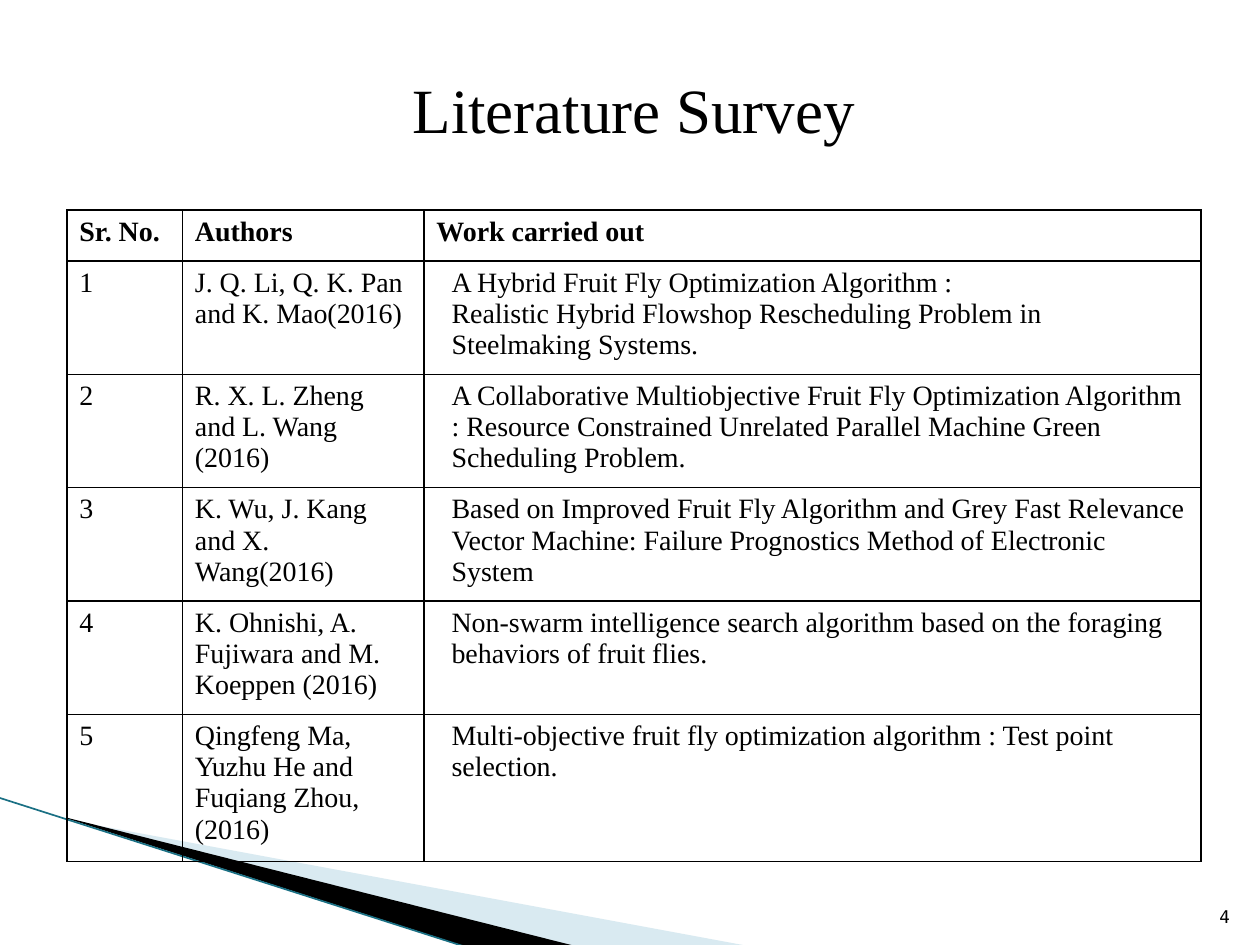
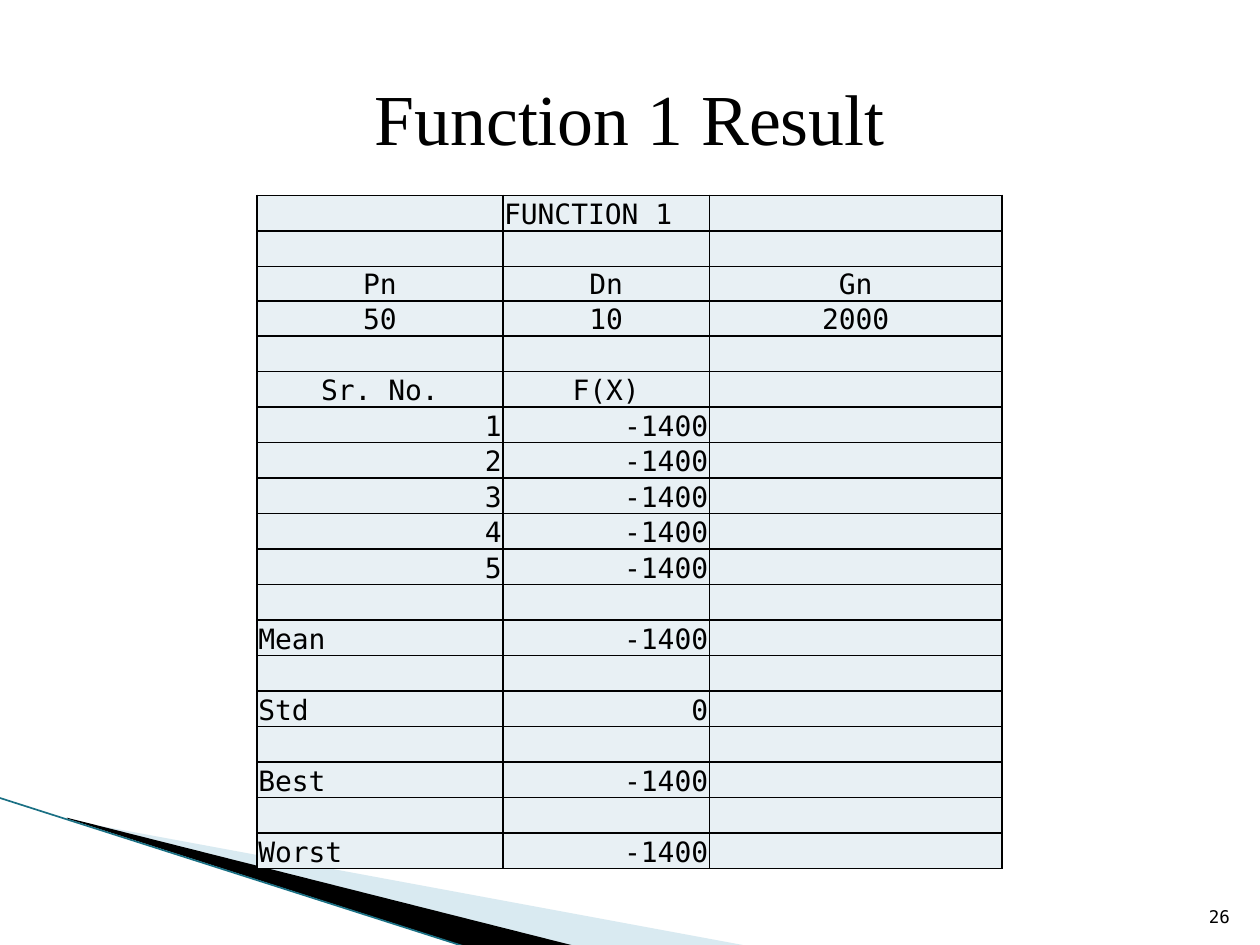
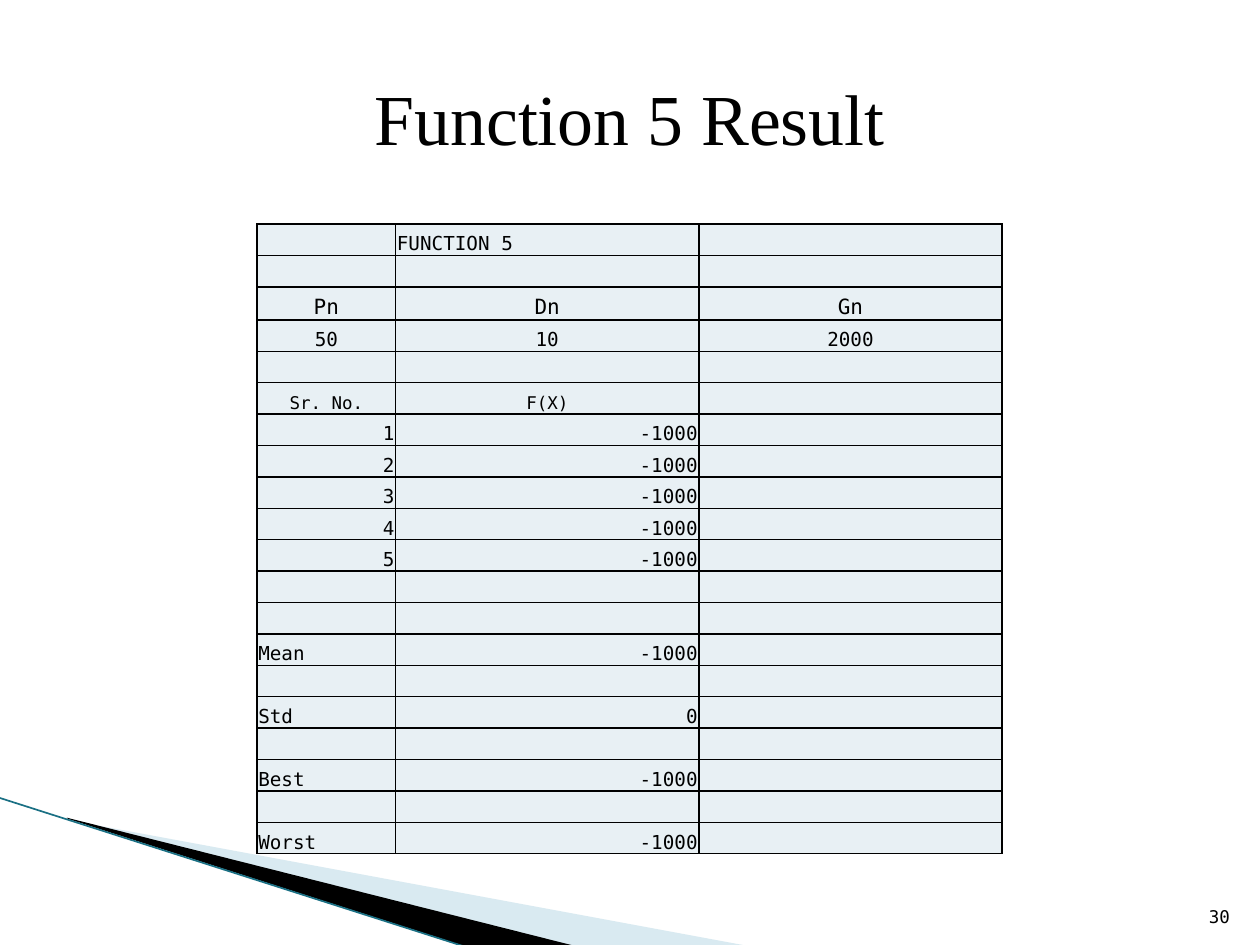
from lxml import etree
from pptx import Presentation
from pptx.dml.color import RGBColor
from pptx.enum.shapes import MSO_CONNECTOR
from pptx.enum.text import MSO_ANCHOR, MSO_AUTO_SIZE, PP_ALIGN
from pptx.oxml.ns import qn
from pptx.util import Pt

LEFT, CENTER, RIGHT = PP_ALIGN.LEFT, PP_ALIGN.CENTER, PP_ALIGN.RIGHT
TOP, MIDDLE, BOTTOM = MSO_ANCHOR.TOP, MSO_ANCHOR.MIDDLE, MSO_ANCHOR.BOTTOM
STRAIGHT = MSO_CONNECTOR.STRAIGHT
NO_FIT = MSO_AUTO_SIZE.NONE

COLORS = {"ink": "000000", "pale": "A0CBDC", "edge": "1A7084", "cell": "E8F0F4"}
SERIF = "Times New Roman"
MONO = "DejaVu Sans Mono"

SURVEY = [
    ("Sr. No.", "Authors", "Work carried out"),
    ("1", "J. Q. Li, Q. K. Pan and K. Mao(2016)",
     "A Hybrid Fruit Fly Optimization Algorithm :\n"
     "Realistic Hybrid Flowshop Rescheduling Problem in Steelmaking Systems."),
    ("2", "R. X. L. Zheng and L. Wang (2016)",
     "A Collaborative Multiobjective Fruit Fly Optimization Algorithm : "
     "Resource Constrained Unrelated Parallel Machine Green Scheduling Problem."),
    ("3", "K. Wu, J. Kang and X. Wang(2016)",
     "Based on Improved Fruit Fly Algorithm and Grey Fast Relevance Vector Machine: "
     "Failure Prognostics Method of Electronic System"),
    ("4", "K. Ohnishi, A. Fujiwara and M. Koeppen (2016)",
     "Non-swarm intelligence search algorithm based on the foraging behaviors of fruit flies."),
    ("5", "Qingfeng Ma, Yuzhu He and Fuqiang Zhou, (2016)",
     "Multi-objective fruit fly optimization algorithm : Test point selection."),
]


def rgb(name):
    return RGBColor.from_string(COLORS[name])


def write(tf, text, font=SERIF, size=16, bold=False, align=LEFT, indent=0):
    for i, line in enumerate(text.split("\n")):
        p = tf.paragraphs[0] if i == 0 else tf.add_paragraph()
        p.alignment = align
        if indent:
            p._p.get_or_add_pPr().set("marL", str(Pt(indent)))
        if not line:
            etree.SubElement(p._p, qn("a:endParaRPr"), sz=str(size * 100))
            continue
        r = p.add_run()
        r.text = line
        r.font.name = font
        r.font.size = Pt(size)
        r.font.bold = bold
        r.font.color.rgb = rgb("ink")


class Deck:
    def __init__(self):
        self.prs = Presentation()
        self.prs.slide_width, self.prs.slide_height = Pt(720), Pt(540)
        self.s = None

    def slide(self, title, number, box, size):
        self.s = self.prs.slides.add_slide(self.prs.slide_layouts[5])
        self.wedge([(39.6, 468.7), (428.4, 540.7), (328.3, 540.7), (39.6, 468)], "pale", 40)
        self.wedge([(38.2, 467.3), (329, 540.7), (267.8, 541.4), (38.9, 468)], "ink")
        self.line((-0.7, 455.8), (267.1, 541.4), "edge", 0.95)
        self.title(title, box, size)
        self.number(number)

    def wedge(self, points, color, opacity=100):
        points = [(Pt(x), Pt(y)) for x, y in points]
        fb = self.s.shapes.build_freeform(*points[0], scale=1.0)
        fb.add_line_segments(points[1:], close=True)
        sp = fb.convert_to_shape()
        sp.shadow.inherit = False
        sp.line.fill.background()
        sp.fill.solid()
        sp.fill.fore_color.rgb = rgb(color)
        if opacity < 100:
            clr = sp._element.spPr.find(qn("a:solidFill"))[0]
            etree.SubElement(clr, qn("a:alpha"), val=str(opacity * 1000))

    def line(self, start, end, color, width):
        ln = self.s.shapes.add_connector(STRAIGHT, *[Pt(v) for v in start + end])
        ln.line.color.rgb = rgb(color)
        ln.line.width = Pt(width)
        etree.SubElement(ln._element.spPr, qn("a:effectLst"))

    def title(self, text, box, size):
        sp = self.s.shapes.title
        sp.left, sp.top, sp.width, sp.height = [Pt(v) for v in box]
        tf = sp.text_frame
        tf.auto_size = NO_FIT
        tf.vertical_anchor = MIDDLE
        write(tf, text, size=size, align=CENTER)

    def number(self, number):
        tf = self.s.shapes.add_textbox(Pt(681.1), Pt(504.7), Pt(28.8), Pt(28.8)).text_frame
        tf.word_wrap = True
        tf.vertical_anchor = BOTTOM
        write(tf, str(number), font=MONO, size=10, align=RIGHT)

    def table(self, left, top, widths, heights):
        frame = self.s.shapes.add_table(len(heights), len(widths), Pt(left), Pt(top),
                                        Pt(sum(widths)), Pt(sum(heights)))
        tbl = frame.table
        tbl.first_row = tbl.horz_banding = False
        for col, width in zip(tbl.columns, widths):
            col.width = Pt(width)
        for row, height in zip(tbl.rows, heights):
            row.height = Pt(height)
        return tbl

    def cell(self, cell, text, fill=None, anchor=TOP, inset=None, **fmt):
        if inset:
            cell.margin_left, cell.margin_top, cell.margin_right, cell.margin_bottom = [
                Pt(v) for v in inset]
        cell.vertical_anchor = anchor
        tcPr = cell._tc.get_or_add_tcPr()
        for side in ("a:lnL", "a:lnR", "a:lnT", "a:lnB"):
            ln = etree.SubElement(tcPr, qn(side), w=str(Pt(1)))
            solid = etree.SubElement(ln, qn("a:solidFill"))
            etree.SubElement(solid, qn("a:srgbClr"), val=COLORS["ink"])
        if fill:
            cell.fill.solid()
            cell.fill.fore_color.rgb = rgb(fill)
        else:
            cell.fill.background()
        write(cell.text_frame, text, **fmt)

    def survey(self):
        tbl = self.table(38.2, 120, [66, 138, 444], [29.1] + [60.6] * 4 + [78.3])
        for i, row in enumerate(SURVEY):
            for j, text in enumerate(row):
                self.cell(tbl.cell(i, j), text, bold=i == 0,
                          indent=8.64 if i and j == 2 else 0)

    def result(self, name, best, top, widths, gap, sizes, heights):
        body, params, head = sizes
        blank = ((), LEFT, body)
        rows = [(("", name), LEFT, body), blank,
                (("Pn", "Dn", "Gn"), CENTER, params),
                (("50", "10", "2000"), CENTER, body), blank,
                (("Sr. No.", "F(X)"), CENTER, head)]
        rows += [((str(run), best), RIGHT, body) for run in range(1, 6)]
        rows += [blank] * (gap - 1)
        for label, value in (("Mean", best), ("Std", "0"), ("Best", best), ("Worst", best)):
            rows += [blank, ((label, value), LEFT, body)]
        normal, special = heights
        tbl = self.table(146.9, top, widths,
                         [special.get(i, normal) for i in range(len(rows))])
        for i, (texts, align, size) in enumerate(rows):
            for j in range(len(widths)):
                text = texts[j] if j < len(texts) else ""
                is_value = j == 1 and text in (best, "0")
                self.cell(tbl.cell(i, j), text, fill="cell", anchor=BOTTOM,
                          inset=(0.7, 0.7, 0.7, 0), font=MONO, size=size,
                          align=RIGHT if is_value else align)


def main():
    deck = Deck()
    deck.slide("Literature Survey", 4, (38.2, 36.7, 648, 50.4), 36)
    deck.survey()
    result_title = (36, 21.6, 648, 90)
    deck.slide("Function 1 Result", 26, result_title, 41)
    deck.result("FUNCTION 1", "-1400", 111.6, [140.5, 118, 167.2], 1,
                (16, 16, 16), (20.3, {2: 19.3, 3: 19.3}))
    deck.slide("Function 5 Result", 30, result_title, 41)
    deck.result("FUNCTION 5", "-1000", 128, [79.2, 173.3, 173.3], 2,
                (11, 12, 10), (17.95, {2: 18.9}))
    deck.prs.save("out.pptx")


if __name__ == "__main__":
    main()
